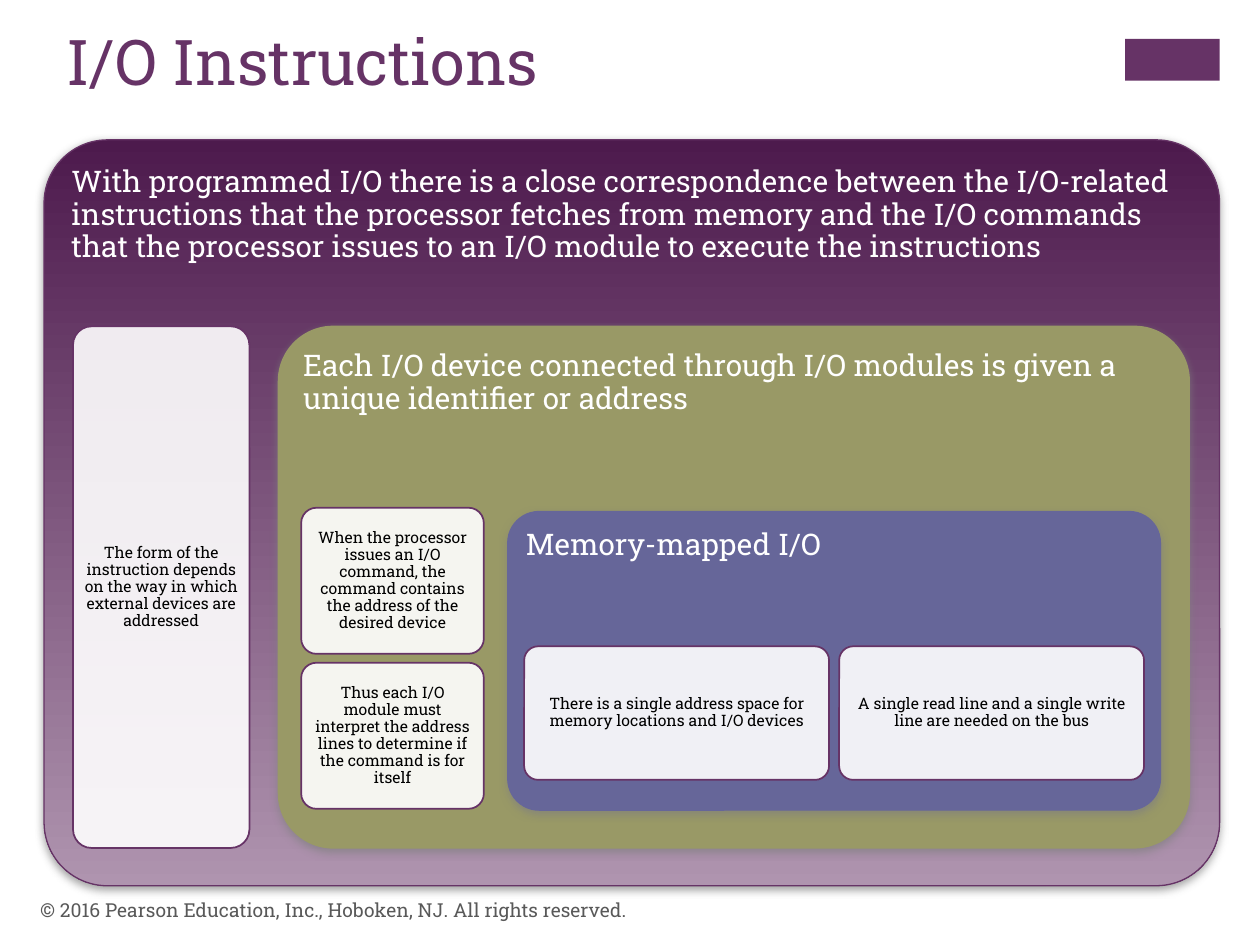
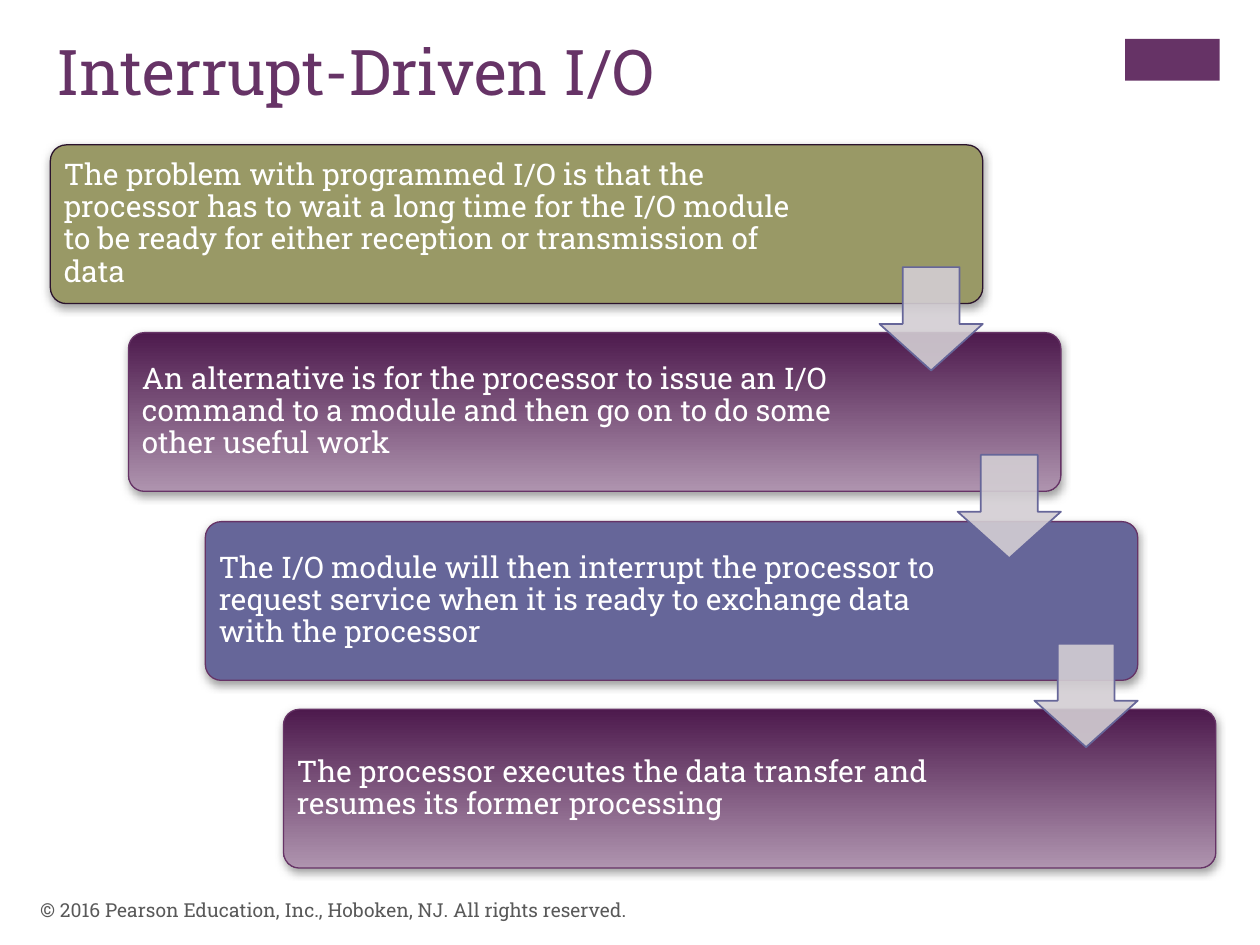
from lxml import etree
from pptx import Presentation
from pptx import util as u
from pptx.dml.color import RGBColor
from pptx.enum import shapes, text
from pptx.oxml.ns import qn

PX = 9144  # 100 px to the inch
FONT = "Roboto Slab"
PURPLE, OLIVE, BLUE, WHITE = "663366", "999966", "666699", "FFFFFF"
GRADIENT = ("4D1A4D", "AF94AF")
ROUNDED = shapes.MSO_SHAPE.ROUNDED_RECTANGLE
TOP, MIDDLE = text.MSO_ANCHOR.TOP, text.MSO_ANCHOR.MIDDLE
FOOTER = "© 2016 Pearson Education, Inc., Hoboken, NJ. All rights reserved."


def write(shape, words, size, color, anchor=TOP, insets=(10, 5, 10, 5), centered=False, spacing=1.0):
    frame = shape.text_frame
    frame.word_wrap = True
    frame.vertical_anchor = anchor
    (frame.margin_left, frame.margin_top,
     frame.margin_right, frame.margin_bottom) = [inset * PX for inset in insets]
    paragraph = frame.paragraphs[0]
    paragraph.text = words
    paragraph.alignment = text.PP_ALIGN.CENTER if centered else text.PP_ALIGN.LEFT
    paragraph.line_spacing = spacing
    paragraph.font.name = FONT
    paragraph.font.size = u.Pt(size)
    paragraph.font.color.rgb = RGBColor.from_string(color)


def add_box(slide, kind, box, fill, line=None, weight=0.75, adjust=(), opacity=100, shadow=False):
    shape = slide.shapes.add_shape(kind, *[value * PX for value in box])
    for index, value in enumerate(adjust):
        shape.adjustments[index] = value
    if fill == GRADIENT:
        shape.fill.gradient()
        shape.fill.gradient_angle = 270
        for stop, color in zip(shape.fill.gradient_stops, fill):
            stop.color.rgb = RGBColor.from_string(color)
    else:
        shape.fill.solid()
        shape.fill.fore_color.rgb = RGBColor.from_string(fill)
    if opacity < 100:
        color_node = shape._element.spPr.find(".//" + qn("a:srgbClr"))
        etree.SubElement(color_node, qn("a:alpha"), val=str(opacity * 1000))
    if line:
        shape.line.color.rgb = RGBColor.from_string(line)
        shape.line.width = u.Pt(weight)
    else:
        shape.line.fill.background()
    shape.shadow.inherit = False
    if shadow:
        effects = shape._element.spPr.find(qn("a:effectLst"))
        outer = etree.SubElement(effects, qn("a:outerShdw"), blurRad=str(u.Pt(5)),
                                 dist=str(u.Pt(2)), dir="5400000", rotWithShape="0")
        gray = etree.SubElement(outer, qn("a:srgbClr"), val="808080")
        etree.SubElement(gray, qn("a:alpha"), val="75000")
    return shape


presentation = Presentation()
presentation.slide_width = 1000 * PX
presentation.slide_height = 750 * PX

# Corner block, title and footer of both slides
slides = []
for title, left, top in [("I/O Instructions", 43, 13), ("Interrupt-Driven I/O", 35, 21)]:
    slide = presentation.slides.add_slide(presentation.slide_layouts[6])
    slides.append(slide)
    add_box(slide, shapes.MSO_SHAPE.RECTANGLE, (893, 31, 75, 33), PURPLE)
    title_box = slide.shapes.add_textbox(left * PX, top * PX, 826 * PX, 122 * PX)
    write(title_box, title, 36, PURPLE)
    footer = slide.shapes.add_textbox(22 * PX, 702 * PX, 670 * PX, 40 * PX)
    write(footer, FOOTER, 11, "595959", MIDDLE)
instructions, interrupts = slides

# Slide 1: nested panels
panels = [
    ((35, 111, 933, 592), GRADIENT, PURPLE, 0.085,
     "With programmed I/O there is a close correspondence between the I/O-related instructions "
     "that the processor fetches from memory and the I/O commands that the processor issues "
     "to an I/O module to execute the instructions"),
    ((221, 259, 723, 414), OLIVE, OLIVE, 0.105,
     "Each I/O device connected through I/O modules is given a unique identifier or address"),
    ((403, 406, 518, 237), BLUE, BLUE, 0.105, "Memory-mapped I/O"),
]
for box, fill, line, corner, words in panels:
    panel = add_box(instructions, ROUNDED, box, fill, line, adjust=[corner], shadow=True)
    write(panel, words, 17, WHITE, TOP, (7, 7, 7, 7), spacing=0.9)

# Slide 1: pale notes on the panels
notes = [
    ((58, 259, 140, 414),
     "The form of the instruction depends on the way in which external devices are addressed"),
    ((239, 403, 145, 116),
     "When the processor issues an I/O command, the command contains the address of the desired device"),
    ((239, 526, 145, 116),
     "Thus each I/O module must interpret the address lines to determine if the command is for itself"),
    ((416, 513, 242, 106),
     "There is a single address space for memory locations and I/O devices"),
    ((666, 513, 242, 106),
     "A single read line and a single write line are needed on the bus"),
]
for box, words in notes:
    note = add_box(instructions, ROUNDED, box, WHITE, PURPLE, 1, [0.105], opacity=90)
    write(note, words, 9, "000000", MIDDLE, (4, 4, 4, 4), centered=True, spacing=0.9)

# Slide 2: staircase of steps
steps = [
    (OLIVE, "2B142D",
     "The problem with programmed I/O is that the processor has to wait a long time for the "
     "I/O module to be ready for either reception or transmission of data"),
    (GRADIENT, PURPLE,
     "An alternative is for the processor to issue an I/O command to a module and then go on "
     "to do some other useful work"),
    (BLUE, PURPLE,
     "The I/O module will then interrupt the processor to request service when it is ready "
     "to exchange data with the processor"),
    (GRADIENT, PURPLE,
     "The processor executes the data transfer and resumes its former processing"),
]
corners = [(round(40 + 185 * i / 3), round(115 + 448 * i / 3)) for i in range(len(steps))]
for (left, top), (fill, line, words) in zip(corners, steps):
    step = add_box(interrupts, ROUNDED, (left, top, 740, 126), fill, line, adjust=[0.1], shadow=True)
    write(step, words, 17, WHITE, MIDDLE, (7, 7, 146, 7), spacing=0.9)

# Slide 2: arrows, each flush with the right edge of its step
for left, top in corners[:-1]:
    add_box(interrupts, shapes.MSO_SHAPE.DOWN_ARROW, (left + 658, top + 97, 82, 82),
            "D3CED3", BLUE, 1, [0.55, 0.45], opacity=90)

presentation.save("out.pptx")
